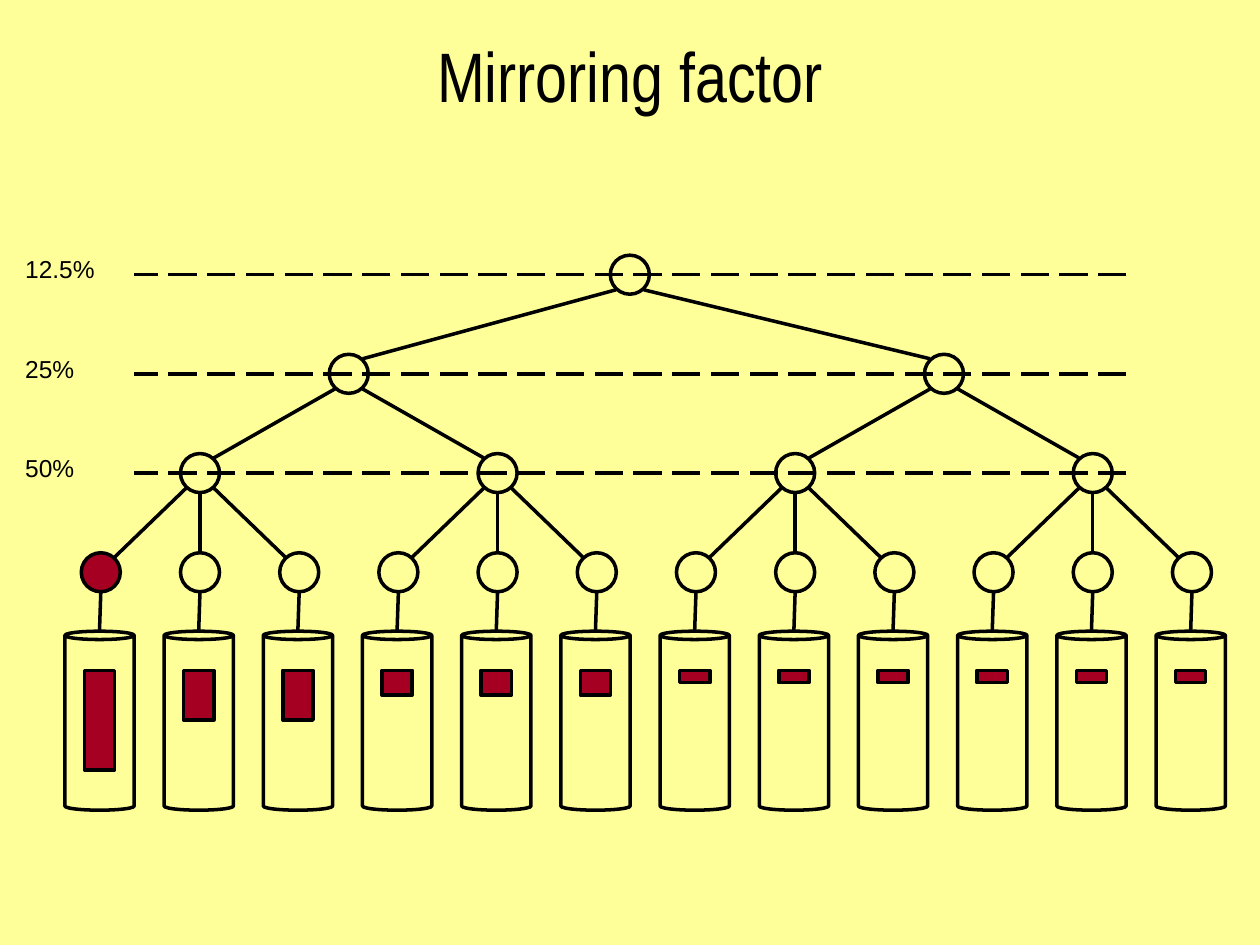
from lxml.etree import SubElement
from pptx import Presentation
from pptx.dml.color import RGBColor
from pptx.enum.dml import MSO_LINE as Dash
from pptx.enum.shapes import MSO_CONNECTOR as Conn, MSO_SHAPE as Kind
from pptx.enum.text import MSO_ANCHOR as Anchor, MSO_AUTO_SIZE as Auto, PP_ALIGN as Align
from pptx.oxml.ns import qn
from pptx.util import Inches, Pt

# Content
TITLE = "Mirroring factor"
LABELS = [("12.5%", 0.6), ("25%", 0.39), ("50%", 0.39)]  # text, width
SHARES = [1] + [1 / 2] * 2 + [1 / 4] * 3 + [1 / 8] * 6  # one per disk
# Nodes of each level as (column, parent index)
TREE = [
    [(16 / 3, None)],
    [(2.5, 0), (8.5, 0)],
    [(1, 0), (4, 0), (7, 1), (10, 1)],
    [(col, col // 3) for col in range(12)],
]

# Colours
PAPER = RGBColor(0xFF, 0xFF, 0x99)
INK = RGBColor(0, 0, 0)
RED = RGBColor(0xA5, 0x00, 0x21)

# Grid, in inches
WIDE, HIGH = 10, 7.5
LEFT, RIGHT, TOP = 0.8, 9.46, 2.18
STEP = (RIGHT - LEFT) / (len(SHARES) - 1)
NODE = 0.31
CAN_W, CAN_H, CAN_TOP = 0.55, 1.42, 5.01
BAR_W, BAR_H, BAR_TOP = 0.24, 0.79, 5.32

prs = Presentation()
prs.slide_width, prs.slide_height = Inches(WIDE), Inches(HIGH)
slide = prs.slides.add_slide(prs.slide_layouts[6])
slide.background.fill.solid()
slide.background.fill.fore_color.rgb = PAPER


def spot(col, row):
    return LEFT + col * STEP, TOP + row * STEP


def shape(kind, mid, top, wide, high, fill=None):
    box = slide.shapes.add_shape(
        kind, Inches(mid - wide / 2), Inches(top), Inches(wide), Inches(high))
    box.shadow.inherit = False
    if fill is None:
        box.fill.background()
    else:
        box.fill.solid()
        box.fill.fore_color.rgb = fill
    box.line.color.rgb = INK
    box.line.width = Pt(2)
    return box


def line(x1, y1, x2, y2, dash=None):
    rule = slide.shapes.add_connector(
        Conn.STRAIGHT, Inches(x1), Inches(y1), Inches(x2), Inches(y2))
    rule.line.color.rgb = INK
    rule.line.width = Pt(2)
    if dash is not None:
        rule.line.dash_style = dash
    SubElement(rule._element.spPr, qn("a:effectLst"))


def text(words, left, top, wide, high, font, size, pad=(0, 0), wrap=False):
    frame = slide.shapes.add_textbox(
        Inches(left), Inches(top), Inches(wide), Inches(high)).text_frame
    frame.margin_left = frame.margin_right = Inches(pad[0])
    frame.margin_top = frame.margin_bottom = Inches(pad[1])
    frame.word_wrap = wrap
    frame.auto_size = Auto.SHAPE_TO_FIT_TEXT
    para = frame.paragraphs[0]
    run = para.add_run()
    run.text = words
    run.font.name, run.font.size = font, Pt(size)
    run.font.color.rgb = INK
    return frame, para


# Tree: nodes and the branches down to them
for row, nodes in enumerate(TREE):
    for col, up in nodes:
        x, y = spot(col, row)
        first = row == len(TREE) - 1 and col == 0
        shape(Kind.OVAL, x, y - NODE / 2, NODE, NODE, RED if first else None)
        if up is None:
            continue
        px, py = spot(TREE[row - 1][up][0], row - 1)
        side = (x > px + 0.01) - (x < px - 0.01)
        dx, dy = 0.11 * side, 0.12 if side else 0.17
        line(px + dx, py + dy, x - dx, y - dy)

# Disks with their data and the stems above them
for col, share in enumerate(SHARES):
    x, y = spot(col, len(TREE) - 1)
    shape(Kind.RECTANGLE, x - 0.01, BAR_TOP, BAR_W, BAR_H * share, RED)
    can = shape(Kind.CAN, x - 0.01, CAN_TOP, CAN_W, CAN_H)
    can.adjustments[0] = 0.12
    line(x, y + 0.16, x - 0.01, CAN_TOP - 0.01)

# Levels: label and dashed line
for row, (label, wide) in enumerate(LABELS):
    y = spot(0, row)[1]
    frame, para = text(label, 0.2, y - 0.16, wide, 0.23, "Arial", 14)
    para.space_before = Pt(8.8)
    line(8.94, y, 1.06, y, Dash.LONG_DASH)

# Title
frame, para = text(TITLE, 0, 0.21, WIDE, 0.77, "Arial Narrow", 40, (0.1, 0.05), True)
frame.vertical_anchor = Anchor.MIDDLE
para.alignment = Align.CENTER

prs.save("out.pptx")
